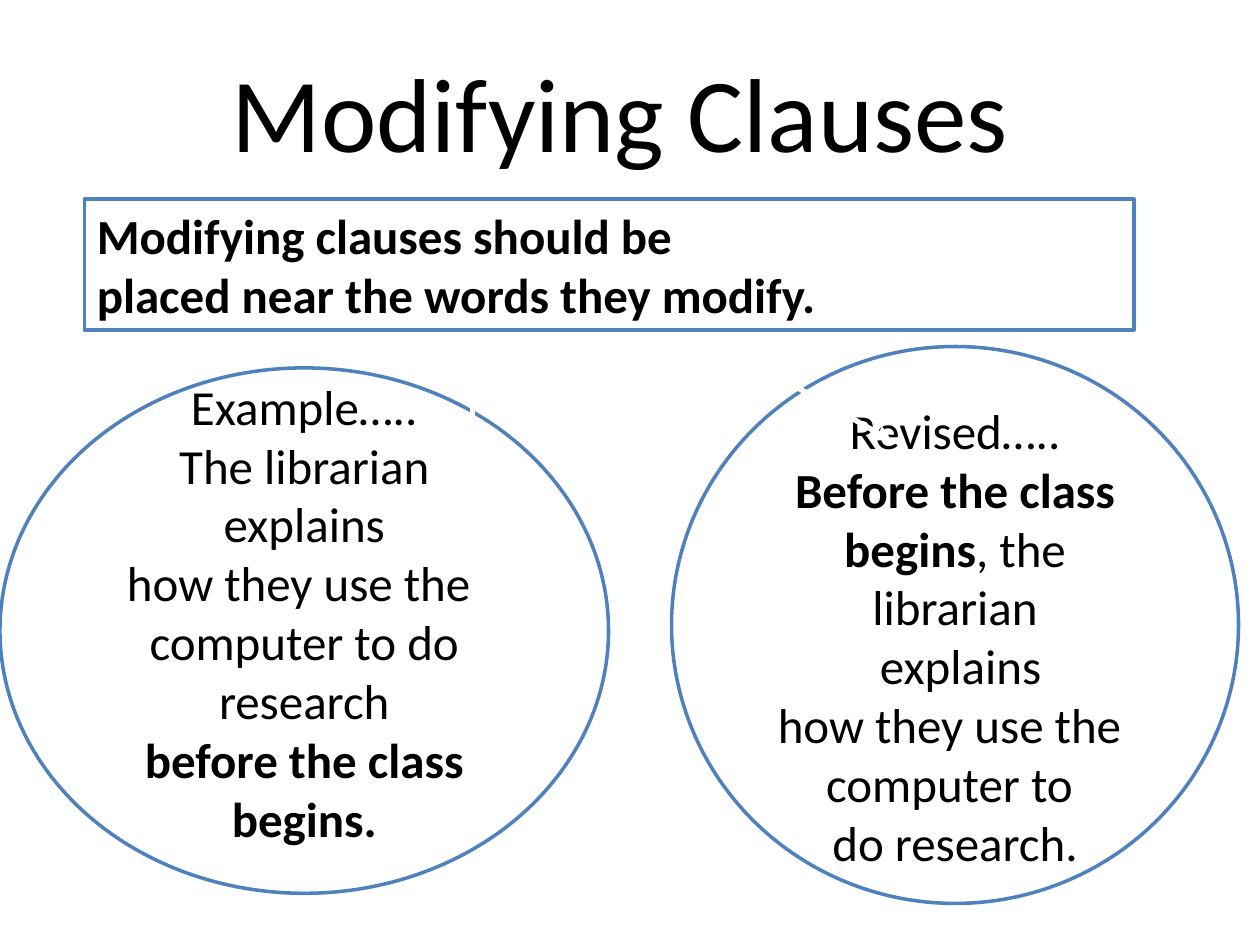
from dataclasses import dataclass
from typing import NamedTuple

from lxml import etree
from pptx import Presentation
from pptx import util as u
from pptx.dml.color import RGBColor
from pptx.enum import shapes, text
from pptx.oxml.ns import qn


@dataclass(frozen=True)
class Theme:
    font: str = "Calibri"
    ink: RGBColor = RGBColor(0, 0, 0)
    paper: RGBColor = RGBColor(255, 255, 255)
    outline: RGBColor = RGBColor(0x4F, 0x81, 0xBD)
    title_size: int = 60
    body_size: int = 28
    outline_width: int = 2
    arrow_width: int = 3


class Run(NamedTuple):
    text: str
    bold: bool = False


class Box(NamedTuple):
    left: float
    top: float
    width: float
    height: float


class Arrow(NamedTuple):
    x1: float
    y1: float
    x2: float
    y2: float


@dataclass(frozen=True)
class Bubble:
    box: Box
    lines: list[list[Run]]
    arrow: Arrow
    inset_top: float
    inset_bottom: float


THEME = Theme()
ALIGN = text.PP_ALIGN
ANCHOR = text.MSO_ANCHOR

RULE = [
    [Run("Modifying clauses should be", True)],
    [Run("placed near the words they modify.", True)],
]
BUBBLES = [
    Bubble(
        Box(0, 2.92, 4.83, 4.17),
        [
            [Run("Example…..")],
            [Run("The librarian explains")],
            [Run("how they use the ")],
            [Run("computer to do research")],
            [Run("before the class", True)],
            [Run("begins.", True)],
        ],
        Arrow(3.75, 2.83, 3.75, 3.5),
        inset_top=0.05,
        inset_bottom=0.35,
    ),
    Bubble(
        Box(5.33, 2.75, 4.5, 4.42),
        [
            [Run("Revised…..")],
            [Run("Before the class", True)],
            [Run("begins", True), Run(", the librarian")],
            [Run(" explains")],
            [Run("how they use the ")],
            [Run("computer to ")],
            [Run("do research.")],
        ],
        Arrow(5.75, 2.75, 7.08, 3.5),
        inset_top=0.52,
        inset_bottom=0.35,
    ),
]


def write(sp, lines: list[list[Run]], *, size: int = THEME.body_size,
          align=ALIGN.CENTER, anchor=ANCHOR.MIDDLE,
          top: float = 0.05, bottom: float = 0.05) -> None:
    tf = sp.text_frame
    tf.word_wrap = True
    tf.vertical_anchor = anchor
    tf.margin_left = tf.margin_right = u.Inches(0.1)
    tf.margin_top, tf.margin_bottom = u.Inches(top), u.Inches(bottom)
    for i, line in enumerate(lines):
        p = tf.add_paragraph() if i else tf.paragraphs[0]
        p.alignment = align
        for part in line:
            r = p.add_run()
            r.text = part.text
            r.font.name = THEME.font
            r.font.size = u.Pt(size)
            r.font.bold = part.bold
            r.font.color.rgb = THEME.ink


def add_outlined(s, kind: shapes.MSO_SHAPE, box: Box):
    sp = s.shapes.add_shape(kind, *map(u.Inches, box))
    sp.shadow.inherit = False
    sp.fill.solid()
    sp.fill.fore_color.rgb = THEME.paper
    sp.line.color.rgb = THEME.outline
    sp.line.width = u.Pt(THEME.outline_width)
    return sp


def add_arrow(s, arrow: Arrow) -> None:
    cx = s.shapes.add_connector(shapes.MSO_CONNECTOR.STRAIGHT, *map(u.Inches, arrow))
    cx.line.color.rgb = THEME.paper
    cx.line.width = u.Pt(THEME.arrow_width)
    etree.SubElement(cx.line._get_or_add_ln(), qn("a:tailEnd"), type="triangle")
    etree.SubElement(cx._element.spPr, qn("a:effectLst"))


def add_bubble(s, bubble: Bubble) -> None:
    sp = add_outlined(s, shapes.MSO_SHAPE.OVAL, bubble.box)
    write(sp, bubble.lines, top=bubble.inset_top, bottom=bubble.inset_bottom)
    add_arrow(s, bubble.arrow)


def main() -> None:
    prs = Presentation()
    prs.slide_width, prs.slide_height = u.Inches(10), u.Inches(7.5)
    s = prs.slides.add_slide(prs.slide_layouts[6])

    rule = add_outlined(s, shapes.MSO_SHAPE.RECTANGLE, Box(0.67, 1.58, 8.33, 1.04))
    write(rule, RULE, align=ALIGN.LEFT, anchor=ANCHOR.TOP)
    rule.text_frame.auto_size = text.MSO_AUTO_SIZE.SHAPE_TO_FIT_TEXT

    for bubble in BUBBLES:
        add_bubble(s, bubble)

    title = s.shapes.add_textbox(*map(u.Inches, Box(0.67, 0.25, 8.5, 1.25)))
    write(title, [[Run("Modifying Clauses")]], size=THEME.title_size)

    prs.save("out.pptx")


if __name__ == "__main__":
    main()
